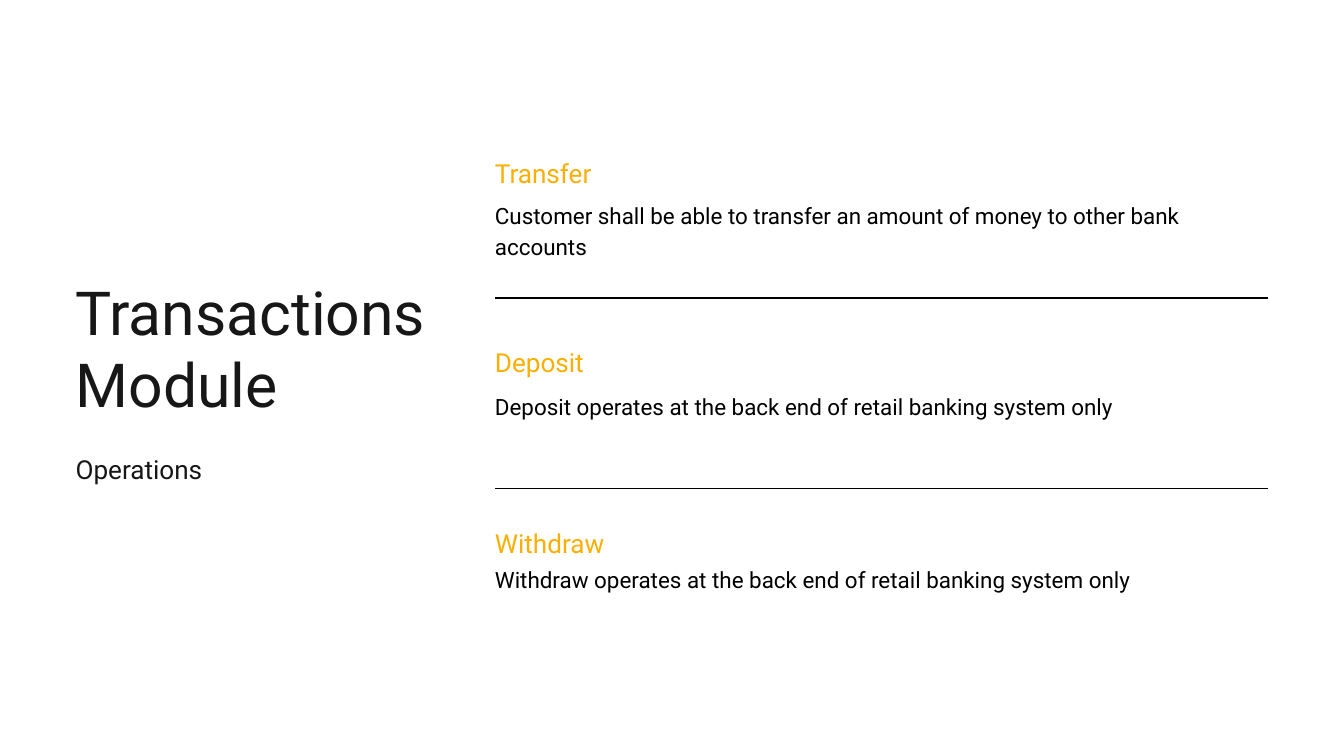
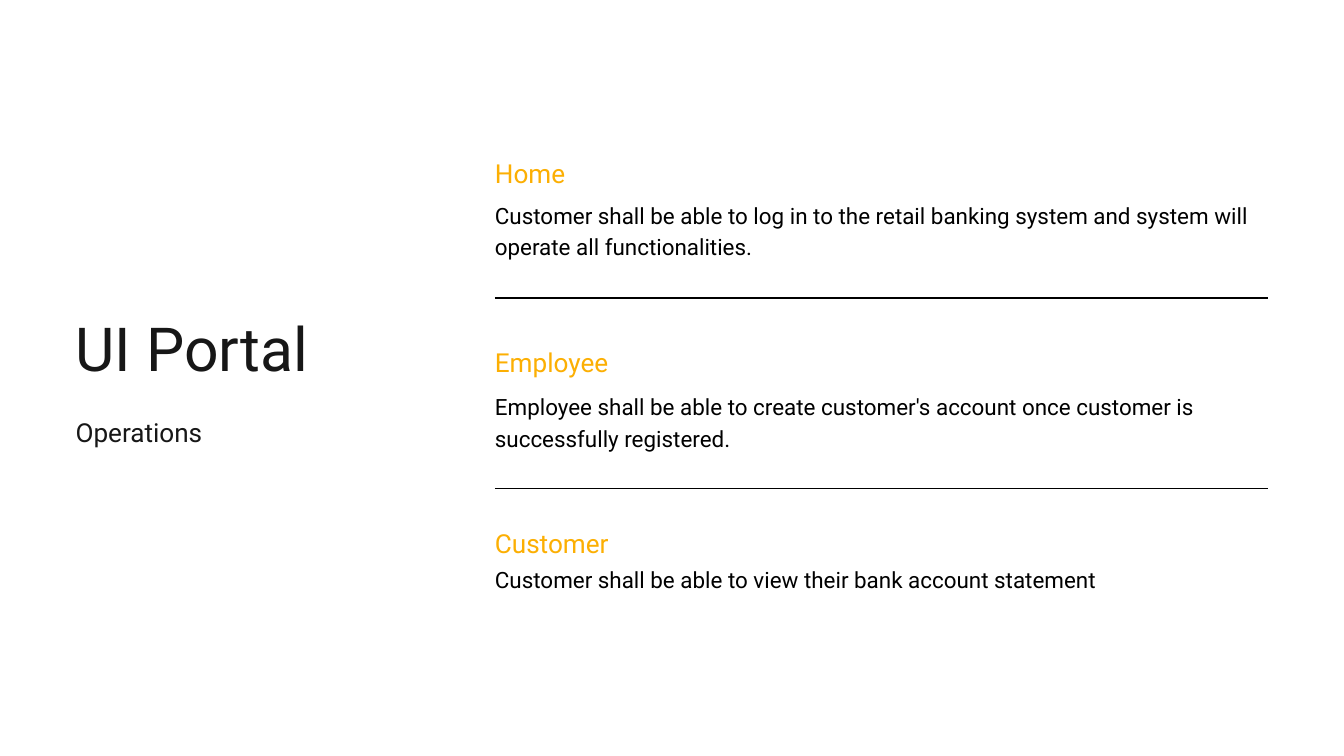
from lxml.etree import SubElement
from pptx import Presentation
from pptx.dml.color import RGBColor
from pptx.enum.text import MSO_ANCHOR as Anchor, MSO_AUTO_SIZE as AutoSize, PP_ALIGN as Align
from pptx.oxml.ns import qn
from pptx.util import Emu, Pt

PX = 9525
INK = RGBColor(0x17, 0x17, 0x17)
AMBER = RGBColor(0xFC, 0xAF, 0x03)
BLACK = RGBColor(0x00, 0x00, 0x00)
WHITE = RGBColor(0xFF, 0xFF, 0xFF)
FONT = "Roboto"
RULE_WIDTH = Pt(2.25)

LEFT = 108
HEADING_MIDDLE = 496
TITLE_LINE = 104
SUBTITLE_GAP = 40
TABLE_LEFT, TABLE_TOP = 707, 205
COLUMN_WIDTHS = (1093, 12)
ROW_HEIGHTS = (79, 142, 47, 84, 141, 47, 59, 69)
ROWS_PER_OPERATION = 3
RULED_ROWS = (1, 4)

MODULES = (
    ("Transactions Module", 2, (
        ("Transfer", "Customer shall be able to transfer an amount of money to other bank accounts"),
        ("Deposit", "Deposit operates at the back end of retail banking system only"),
        ("Withdraw", "Withdraw operates at the back end of retail banking system only"),
    )),
    ("UI Portal", 1, (
        ("Home", "Customer shall be able to log in to the retail banking system "
                 "and system will operate all functionalities."),
        ("Employee", "Employee shall be able to create customer's account "
                     "once customer is successfully registered."),
        ("Customer", "Customer shall be able to view their bank account statement"),
    )),
)


def px(length):
    """Turn whole pixels into EMU."""
    return Emu(length * PX)


def write(frame, text, size, color, spacing):
    """Write one left-aligned paragraph with exact line spacing."""
    paragraph = frame.paragraphs[0]
    paragraph.alignment = Align.LEFT
    paragraph.line_spacing = Pt(spacing)
    run = paragraph.add_run()
    run.text = text
    run.font.name = FONT
    run.font.size = Pt(size)
    run.font.color.rgb = color


def clear_margins(holder):
    """Remove the inner margins of a text frame or table cell."""
    holder.margin_left = holder.margin_right = 0
    holder.margin_top = holder.margin_bottom = 0


def fit_frame(frame):
    """Make a text frame wrap from its top left corner."""
    clear_margins(frame)
    frame.word_wrap = True
    frame.auto_size = AutoSize.SHAPE_TO_FIT_TEXT
    frame.vertical_anchor = Anchor.TOP


def add_heading(slide, title, line_count):
    """Centre the title and its subtitle on the heading's middle."""
    height = line_count * TITLE_LINE
    top = HEADING_MIDDLE - height // 2
    heading = slide.shapes.title
    heading.left, heading.top = px(LEFT), px(top)
    heading.width, heading.height = px(690), px(height)
    fit_frame(heading.text_frame)
    write(heading.text_frame, title, 65, INK, 78)

    subtitle = slide.shapes.add_textbox(
        px(LEFT), px(top + height + SUBTITLE_GAP), px(441), px(48))
    fit_frame(subtitle.text_frame)
    write(subtitle.text_frame, "Operations", 28, INK, 39.2)


def set_borders(cell, ruled_sides):
    """Draw the ruled sides of a cell and hide the others."""
    properties = cell._tc.get_or_add_tcPr()
    for side in "LRTB":
        border = SubElement(properties, qn(f"a:ln{side}"))
        if side in ruled_sides:
            border.set("w", str(RULE_WIDTH))
            fill = SubElement(border, qn("a:solidFill"))
            SubElement(fill, qn("a:srgbClr")).set("val", str(BLACK))
        else:
            border.set("w", "0")
            SubElement(border, qn("a:noFill"))


def style_cell(cell, row):
    """Give a cell its rules, no margins and no fill."""
    sides = ("B" if row in RULED_ROWS else "") + ("T" if row - 1 in RULED_ROWS else "")
    set_borders(cell, sides)
    clear_margins(cell)
    cell.fill.background()


def add_operations(slide, operations):
    """Add the table of operations, separated by rules."""
    table = slide.shapes.add_table(
        len(ROW_HEIGHTS), len(COLUMN_WIDTHS), px(TABLE_LEFT), px(TABLE_TOP),
        px(sum(COLUMN_WIDTHS)), px(sum(ROW_HEIGHTS))).table
    table.first_row = table.horz_banding = False
    for column, width in zip(table.columns, COLUMN_WIDTHS):
        column.width = px(width)
    for index, height in enumerate(ROW_HEIGHTS):
        table.rows[index].height = px(height)
        for cell in table.rows[index].cells:
            style_cell(cell, index)
    for index, (name, description) in enumerate(operations):
        row = index * ROWS_PER_OPERATION
        name_cell = table.cell(row, 0)
        name_cell.vertical_anchor = Anchor.MIDDLE
        write(name_cell.text_frame, name, 28, AMBER, 39.2)
        write(table.cell(row + 1, 0).text_frame, description, 24, BLACK, 33.6)


def main():
    """Build one slide for each module."""
    deck = Presentation()
    deck.slide_width, deck.slide_height = px(1920), px(1080)
    title_only = deck.slide_layouts[5]
    background = deck.slide_master.background.fill
    background.solid()
    background.fore_color.rgb = WHITE
    for title, line_count, operations in MODULES:
        slide = deck.slides.add_slide(title_only)
        add_heading(slide, title, line_count)
        add_operations(slide, operations)
    deck.save("out.pptx")


if __name__ == "__main__":
    main()
